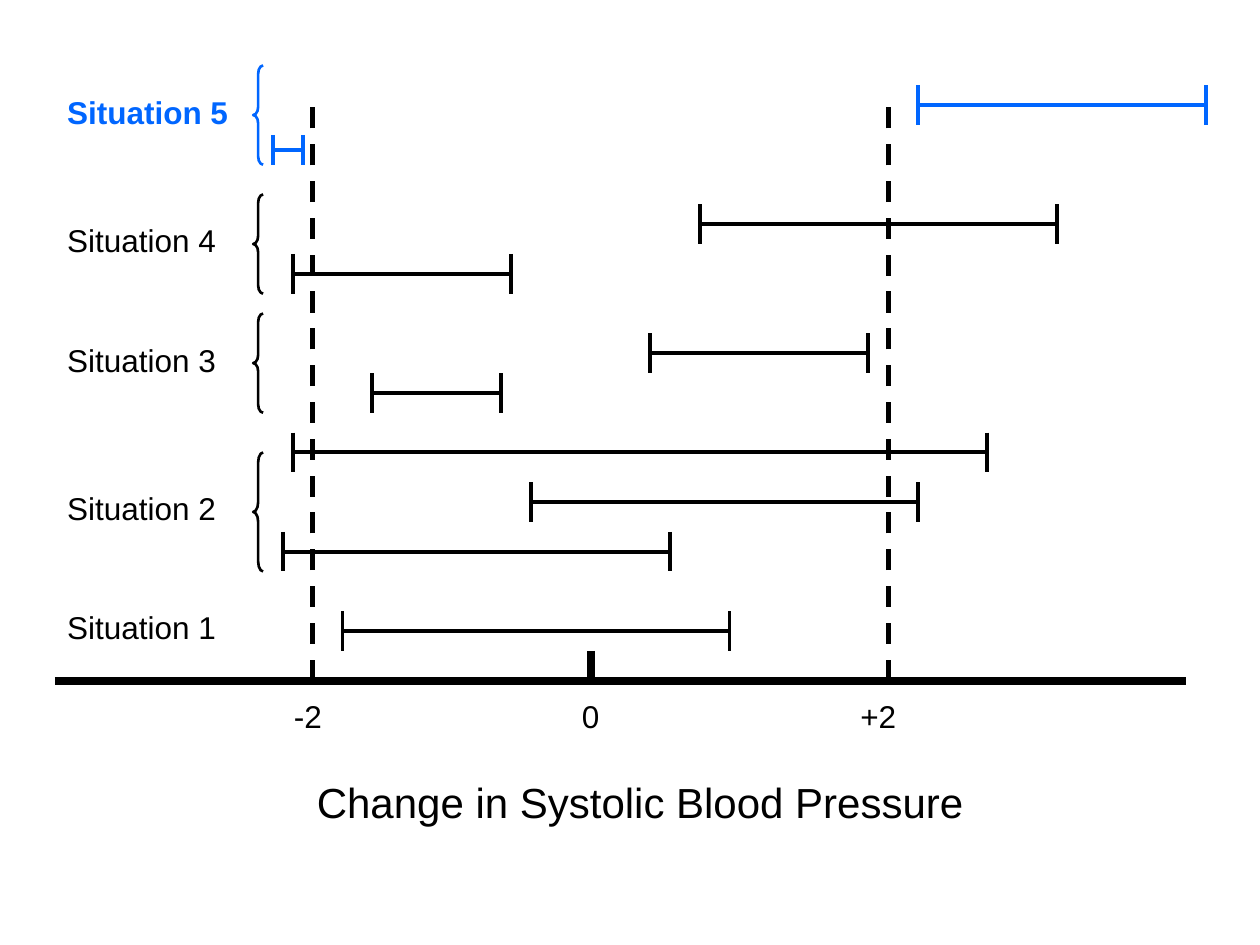
from dataclasses import dataclass
from typing import NamedTuple

from lxml import etree
from pptx import Presentation, util as u
from pptx.dml.color import RGBColor
from pptx.enum import dml, shapes, text
from pptx.oxml import ns


@dataclass(frozen=True)
class Theme:
    black: str = "000000"
    blue: str = "0066FF"
    font: str = "Arial"
    label_size: int = 18
    title_size: int = 24
    axis_width: float = 4.5
    limit_width: float = 3
    interval_width: float = 2.25
    brace_width: float = 1.5


class Interval(NamedTuple):
    start: float
    end: float
    row: float
    cap: float = 2


@dataclass(frozen=True)
class Situation:
    name: str
    middle: float
    intervals: list[Interval]
    brace_rows: float = 0
    highlighted: bool = False


class Tick(NamedTuple):
    label: str
    column: float
    label_shift: float


THEME = Theme()

# Grid of square cells, counted from the top left of the uppermost brace
CELL = u.Cm(0.2)
ORIGIN_X, ORIGIN_Y = u.Inches(2.01), u.Inches(0.52)
AXIS_ROW, AXIS_START, AXIS_END = 62, -20, 94
LIMIT_TOP = 4

SITUATIONS = [
    Situation("Situation 1", 57, [Interval(9, 48, 57)]),
    Situation("Situation 2", 45,
              [Interval(3, 42, 49), Interval(28, 67, 44), Interval(4, 74, 39)], 12),
    Situation("Situation 3", 30, [Interval(12, 25, 33), Interval(40, 62, 29)], 10),
    Situation("Situation 4", 18, [Interval(4, 26, 21), Interval(45, 81, 16)], 10),
    Situation("Situation 5", 5,
              [Interval(2, 5, 8.5, 1.5), Interval(67, 96, 4)], 10, True),
]
TICKS = [Tick("-2", 6, -0.5), Tick("0", 34, 0), Tick("+2", 64, -1)]


def x_at(column: float) -> int:
    return int(ORIGIN_X + column * CELL)


def y_at(row: float) -> int:
    return int(ORIGIN_Y + row * CELL)


def add_line(parent, start: tuple, end: tuple, width: float,
             color: str = THEME.black, dashed: bool = False) -> None:
    connector = parent.add_connector(
        shapes.MSO_CONNECTOR.STRAIGHT,
        x_at(start[0]), y_at(start[1]), x_at(end[0]), y_at(end[1]))
    connector.line.color.rgb = RGBColor.from_string(color)
    connector.line.width = u.Pt(width)
    if dashed:
        connector.line.dash_style = dml.MSO_LINE.DASH
    etree.SubElement(connector._element.spPr, ns.qn("a:effectLst"))


def add_text(parent, words: str, left: int, top: int, width: float, height: float,
             size: int, color: str = THEME.black, bold: bool = False,
             centered: bool = False) -> None:
    box = parent.add_textbox(left, top, u.Inches(width), u.Inches(height))
    box.text_frame.word_wrap = not centered
    if centered:
        box.text_frame.auto_size = text.MSO_AUTO_SIZE.SHAPE_TO_FIT_TEXT
    paragraph = box.text_frame.paragraphs[0]
    paragraph.text = words
    paragraph.alignment = text.PP_ALIGN.CENTER if centered else text.PP_ALIGN.LEFT
    paragraph.font.name = THEME.font
    paragraph.font.size = u.Pt(size)
    paragraph.font.bold = bold
    paragraph.font.color.rgb = RGBColor.from_string(color)


def add_centered_text(parent, words: str, column: float, top: float,
                      width: float, height: float, size: int) -> None:
    left = x_at(column) - u.Inches(width / 2)
    add_text(parent, words, left, u.Inches(top), width, height, size, centered=True)


def add_interval(parent, interval: Interval, color: str) -> None:
    start, end, row, cap = interval
    group = parent.add_group_shape().shapes
    add_line(group, (start, row), (end, row), THEME.interval_width, color)
    for column in (start, end):
        add_line(group, (column, row - cap), (column, row + cap),
                 THEME.interval_width, color)


def add_brace(parent, middle: float, rows: float, color: str) -> None:
    brace = parent.add_shape(shapes.MSO_SHAPE.LEFT_BRACE, x_at(0),
                             y_at(middle - rows / 2), CELL, int(rows * CELL))
    brace.adjustments[0] = rows / 12
    brace.shadow.inherit = False
    brace.fill.background()
    brace.line.color.rgb = RGBColor.from_string(color)
    brace.line.width = u.Pt(THEME.brace_width)


def add_situation(parent, situation: Situation) -> None:
    color = THEME.blue if situation.highlighted else THEME.black
    add_text(parent, situation.name, x_at(AXIS_START), y_at(situation.middle - 2.9),
             1.73, 0.7, THEME.label_size, color, situation.highlighted)
    if situation.brace_rows:
        add_brace(parent, situation.middle, situation.brace_rows, color)
    for interval in situation.intervals:
        add_interval(parent, interval, color)


presentation = Presentation()
presentation.slide_width, presentation.slide_height = u.Inches(10), u.Inches(7.5)
slide = presentation.slides.add_slide(presentation.slide_layouts[6])
canvas = slide.shapes

# Axis, zero mark and dashed limits
add_line(canvas, (AXIS_START, AXIS_ROW), (AXIS_END, AXIS_ROW), THEME.axis_width)
for tick in TICKS:
    foot = (tick.column, AXIS_ROW)
    if tick.label == "0":
        add_line(canvas, (tick.column, AXIS_ROW - 3), foot, THEME.axis_width)
    else:
        add_line(canvas, foot, (tick.column, LIMIT_TOP), THEME.limit_width, dashed=True)
    add_centered_text(canvas, tick.label, tick.column + tick.label_shift,
                      5.48, 0.55, 0.4, THEME.label_size)

# Axis title
add_centered_text(canvas, "Change in Systolic Blood Pressure", 39,
                  6.11, 5.4, 0.5, THEME.title_size)

# Situations with their intervals
for situation in SITUATIONS:
    add_situation(canvas, situation)

presentation.save("out.pptx")
